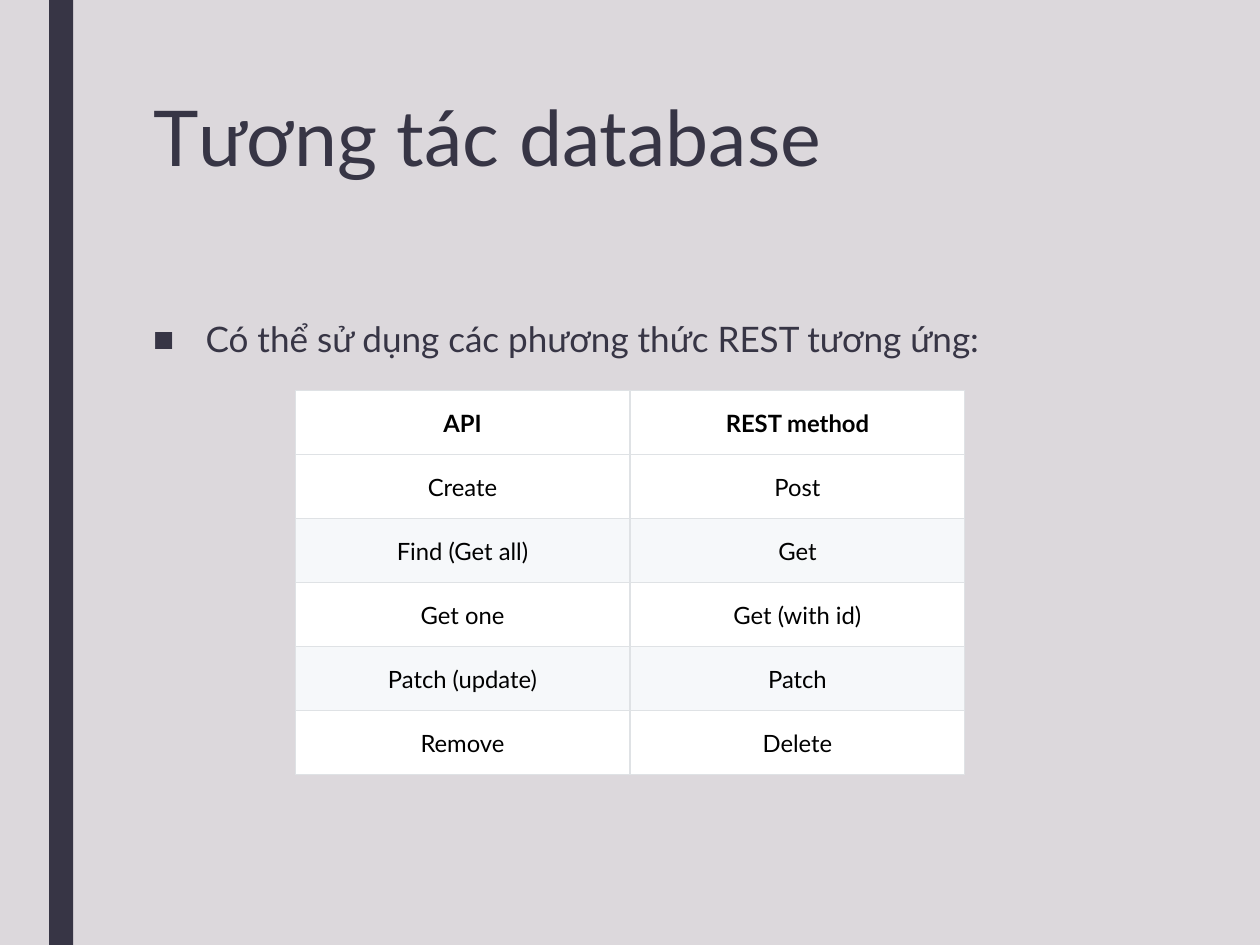
from lxml import etree
from pptx import Presentation
from pptx.dml.color import RGBColor
from pptx.enum.lang import MSO_LANGUAGE_ID
from pptx.enum.shapes import MSO_SHAPE
from pptx.enum.text import MSO_ANCHOR, MSO_AUTO_SIZE, PP_ALIGN
from pptx.oxml.ns import qn
from pptx.util import Cm, Inches, Pt

RECT = MSO_SHAPE.RECTANGLE
TOP, MIDDLE = MSO_ANCHOR.TOP, MSO_ANCHOR.MIDDLE
LEFT, CENTER = PP_ALIGN.LEFT, PP_ALIGN.CENTER
NO_FIT = MSO_AUTO_SIZE.NONE
ENGLISH, VIETNAMESE = MSO_LANGUAGE_ID.ENGLISH_US, MSO_LANGUAGE_ID.VIETNAMESE

FONT = "Lato"
BULLET_FONT = "Arial"
BACKGROUND = RGBColor(0xDC, 0xD8, 0xDC)
DARK = RGBColor(0x37, 0x35, 0x45)
BLACK = RGBColor(0, 0, 0)
WHITE = RGBColor(0xFF, 0xFF, 0xFF)
BAND = RGBColor(0xF6, 0xF8, 0xFA)
BORDER = RGBColor(0xDF, 0xE2, 0xE5)

METHODS = [
    ("API", "REST method"),
    ("Create", "Post"),
    ("Find (Get all)", "Get"),
    ("Get one", "Get (with id)"),
    ("Patch (update)", "Patch"),
    ("Remove", "Delete"),
]


def add_run(p, text, size, color, bold=False):
    r = p.add_run()
    r.text = text
    r.font.name = FONT
    r.font.size = Pt(size)
    r.font.bold = bold
    r.font.color.rgb = color
    return r


def setup_frame(tf):
    tf.word_wrap = True
    tf.auto_size = NO_FIT
    tf.vertical_anchor = TOP
    tf.margin_left = tf.margin_right = Inches(0.1)
    tf.margin_top = tf.margin_bottom = Inches(0.05)


def add_side_bar(s, x, y, w, h):
    sp = s.shapes.add_shape(RECT, Inches(x), Inches(y), Inches(w), Inches(h))
    sp.shadow.inherit = False
    sp.fill.solid()
    sp.fill.fore_color.rgb = DARK
    sp.line.fill.background()


def set_title(s, parts, x, y, w, h):
    sp = s.shapes.title
    sp.left, sp.top, sp.width, sp.height = map(Inches, (x, y, w, h))
    setup_frame(sp.text_frame)
    p = sp.text_frame.paragraphs[0]
    p.alignment = LEFT
    p.line_spacing = 0.89
    # The language change keeps the capital from being kerned
    for text, language in parts:
        add_run(p, text, 48.5, DARK).font.language_id = language


def add_bullet_text(s, text, x, y, w, h):
    sp = s.shapes.add_textbox(Inches(x), Inches(y), Inches(w), Inches(h))
    setup_frame(sp.text_frame)
    p = sp.text_frame.paragraphs[0]
    p.line_spacing = 0.94
    p.space_before, p.space_after = Pt(11), Pt(2.2)
    add_run(p, text, 22.1, DARK)
    # Square bullet with a hanging indent
    pPr = p._p.get_or_add_pPr()
    pPr.set("marL", str(Inches(0.46)))
    pPr.set("indent", str(-Inches(0.46)))
    etree.SubElement(pPr, qn("a:buFont"), typeface=BULLET_FONT)
    etree.SubElement(pPr, qn("a:buChar"), char="■")


def add_borders(cell):
    tcPr = cell._tc.get_or_add_tcPr()
    for i, side in enumerate(("lnL", "lnR", "lnT", "lnB")):
        ln = etree.Element(qn(f"a:{side}"), w=str(Pt(0.75)))
        fill = etree.SubElement(ln, qn("a:solidFill"))
        etree.SubElement(fill, qn("a:srgbClr"), val=str(BORDER))
        tcPr.insert(i, ln)  # borders come before the cell fill


def add_method_table(s, rows, x, y, w, h):
    frame = s.shapes.add_table(len(rows), len(rows[0]),
                               Inches(x), Inches(y), Inches(w), Inches(h))
    table = frame.table
    for i, row in enumerate(rows):
        for j, text in enumerate(row):
            cell = table.cell(i, j)
            cell.fill.solid()
            cell.fill.fore_color.rgb = BAND if i and i % 2 == 0 else WHITE
            cell.vertical_anchor = MIDDLE
            cell.margin_left = cell.margin_right = Inches(0.14)
            cell.margin_top = cell.margin_bottom = Inches(0.06)
            p = cell.text_frame.paragraphs[0]
            p.alignment = CENTER
            add_run(p, text, 15, BLACK, bold=i == 0)
            add_borders(cell)


def build_slide(prs):
    w, h = prs.slide_width.inches, prs.slide_height.inches
    s = prs.slides.add_slide(prs.slide_layouts.get_by_name("Title Only"))
    s.background.fill.solid()
    s.background.fill.fore_color.rgb = BACKGROUND
    add_side_bar(s, 0.43, 0, 0.21, h)
    set_title(s, [("T", ENGLISH), ("ương tác database", VIETNAMESE)],
              1.24, 0.83, 8.68, 1.79)
    add_bullet_text(s, "Có thể sử dụng các phương thức REST tương ứng:",
                    1.24, 2.76, 9.59, 4.68)
    table_w = 5.86
    add_method_table(s, METHODS, (w - table_w) / 2, 3.42, table_w, 3.36)


prs = Presentation()
prs.slide_width, prs.slide_height = Cm(28), Cm(21)
build_slide(prs)
prs.save("out.pptx")
